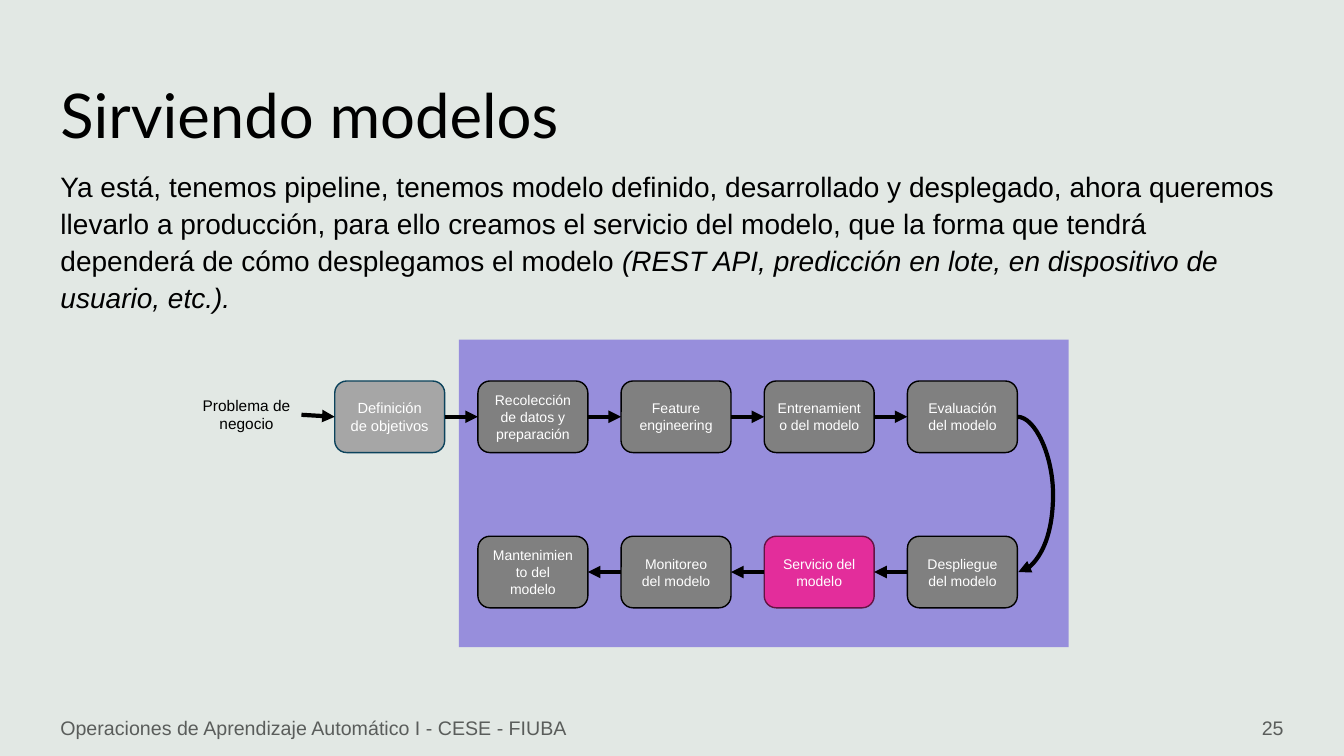
from dataclasses import dataclass
from itertools import pairwise

from lxml.etree import SubElement
from pptx import Presentation
from pptx.dml.color import RGBColor
from pptx.enum.shapes import MSO_CONNECTOR as Cxn, MSO_SHAPE as Shape
from pptx.enum.text import MSO_ANCHOR as Anchor, MSO_AUTO_SIZE as AutoSize, PP_ALIGN as Align
from pptx.oxml.ns import qn
from pptx.util import Inches, Pt


@dataclass(frozen=True)
class Theme:
    background: str = "E2E8E4"
    panel: str = "4E36D6"
    panel_alpha: int = 50
    ink: str = "000000"
    muted: str = "5A5D5B"
    light: str = "FFFFFF"
    step: str = "808080"
    goal: str = "A6A6A6"
    goal_line: str = "0C435C"
    active: str = "E32D9B"
    active_line: str = "631444"
    heading_font: str = "Lato"
    body_font: str = "Arial"
    title_size: float = 44
    body_size: float = 20
    footer_size: float = 14
    input_size: float = 11
    goal_size: float = 10.5
    step_size: float = 10


THEME = Theme()


@dataclass(frozen=True)
class Step:
    label: str
    col: int
    row: int
    fill: str = THEME.step
    line: str = THEME.ink
    size: float = THEME.step_size


STEPS = [
    Step("Definición de objetivos", 0, 0, THEME.goal, THEME.goal_line, THEME.goal_size),
    Step("Recolección de datos y preparación", 1, 0),
    Step("Feature engineering", 2, 0),
    Step("Entrenamiento del modelo", 3, 0),
    Step("Evaluación del modelo", 4, 0),
    Step("Despliegue del modelo", 4, 1),
    Step("Servicio del modelo", 3, 1, THEME.active, THEME.active_line),
    Step("Monitoreo del modelo", 2, 1),
    Step("Mantenimiento del modelo", 1, 1),
]
STEP_LEFT, STEP_PITCH = 3.32, 1.42
STEP_WIDTH, STEP_HEIGHT = 1.09, 0.71
ROW_TOPS = (3.78, 5.32)
LEFT_SITE, RIGHT_SITE = 1, 3


def rgb(color: str) -> RGBColor:
    return RGBColor.from_string(color)


def add_text(tf, text: str, *, size: float, color: str = THEME.ink,
             font: str = THEME.body_font, align=Align.LEFT,
             anchor=Anchor.MIDDLE, italic: bool = False) -> None:
    tf.word_wrap = True
    tf.auto_size = AutoSize.NONE
    tf.vertical_anchor = anchor
    p = tf.paragraphs[0]
    p.alignment = align
    r = p.add_run()
    r.text = text
    r.font.name, r.font.size = font, Pt(size)
    r.font.color.rgb = rgb(color)
    r.font.italic = italic


def place(sp, left: float, top: float, width: float, height: float) -> None:
    sp.left, sp.top = Inches(left), Inches(top)
    sp.width, sp.height = Inches(width), Inches(height)


def add_textbox(shapes, box: tuple, text: str, **fmt):
    sp = shapes.add_textbox(*map(Inches, box))
    add_text(sp.text_frame, text, **fmt)
    return sp


def add_panel(shapes) -> None:
    sp = shapes.add_shape(Shape.RECTANGLE, *map(Inches, (4.55, 3.37, 6.05, 3.05)))
    sp.shadow.inherit = False
    sp.fill.solid()
    sp.fill.fore_color.rgb = rgb(THEME.panel)
    sp.line.fill.background()
    color = sp.fill._xPr.find(f".//{qn('a:srgbClr')}")
    SubElement(color, qn("a:alpha"), val=str(THEME.panel_alpha * 1000))


def add_step(shapes, step: Step):
    box = (STEP_LEFT + step.col * STEP_PITCH, ROW_TOPS[step.row], STEP_WIDTH, STEP_HEIGHT)
    sp = shapes.add_shape(Shape.ROUNDED_RECTANGLE, *map(Inches, box))
    sp.shadow.inherit = False
    sp.fill.solid()
    sp.fill.fore_color.rgb = rgb(step.fill)
    sp.line.color.rgb = rgb(step.line)
    sp.line.width = Pt(1)
    add_text(sp.text_frame, step.label, size=step.size, color=THEME.light, align=Align.CENTER)
    return sp


def add_arrow(shapes, kind, start: tuple, end: tuple):
    cxn = shapes.add_connector(kind, *start, *end)
    cxn.line.color.rgb = rgb(THEME.ink)
    cxn.line.width = Pt(3)
    SubElement(cxn.line._get_or_add_ln(), qn("a:tailEnd"), type="triangle")
    SubElement(cxn._element.spPr, qn("a:effectLst"))
    return cxn


def link_across(shapes, source, target) -> None:
    forward = source.left < target.left
    out_site, in_site = (RIGHT_SITE, LEFT_SITE) if forward else (LEFT_SITE, RIGHT_SITE)
    start_x = source.left + (source.width if forward else 0)
    end_x = target.left + (0 if forward else target.width)
    cxn = add_arrow(shapes, Cxn.STRAIGHT,
                    (start_x, source.top + source.height // 2),
                    (end_x, target.top + target.height // 2))
    cxn.begin_connect(source, out_site)
    cxn.end_connect(target, in_site)


def link_down(shapes, source, target) -> None:
    right = source.left + source.width
    cxn = add_arrow(shapes, Cxn.CURVE,
                    (right, source.top + source.height // 2),
                    (right + Inches(0.01), target.top + target.height // 2))
    guides = cxn._element.spPr.find(qn("a:prstGeom")).get_or_add_avLst()
    SubElement(guides, qn("a:gd"), name="adj1", fmla="val 3600000")


def add_diagram(s) -> None:
    shapes = s.shapes.add_group_shape().shapes
    add_panel(shapes)
    problem = add_textbox(shapes, (1.9, 3.88, 1.09, 0.47), "Problema de negocio",
                          size=THEME.input_size, align=Align.CENTER, anchor=Anchor.TOP)
    boxes = [add_step(shapes, step) for step in STEPS]
    for source, target in pairwise([problem, *boxes]):
        link = link_down if source.left == target.left else link_across
        link(shapes, source, target)


def add_body(sp) -> None:
    place(sp, 0.5, 1.6, 12.33, 5.12)
    tf = sp.text_frame
    p = tf.paragraphs[0]
    pPr = p._p.get_or_add_pPr()
    pPr.set("marL", "0")
    pPr.set("indent", "0")
    SubElement(pPr, qn("a:buNone"))
    p.line_spacing = 1.1
    p.space_before = Pt(0)
    fmt = dict(size=THEME.body_size, anchor=Anchor.TOP)
    add_text(tf, "Ya está, tenemos pipeline, tenemos modelo definido, desarrollado y desplegado, "
                 "ahora queremos llevarlo a producción, para ello creamos el servicio del modelo, "
                 "que la forma que tendrá dependerá de cómo desplegamos el modelo ", **fmt)
    add_text(tf, "(REST API, predicción en lote, en dispositivo de usuario, etc.).",
             italic=True, **fmt)


def main() -> None:
    prs = Presentation()
    prs.slide_width, prs.slide_height = Inches(13.33), Inches(7.5)
    s = prs.slides.add_slide(prs.slide_layouts[1])
    s.background.fill.solid()
    s.background.fill.fore_color.rgb = rgb(THEME.background)

    title, body = s.placeholders
    place(title, 0.5, 0.4, 11.92, 1.45)
    add_text(title.text_frame, "Sirviendo modelos", size=THEME.title_size,
             font=THEME.heading_font)
    add_body(body)
    add_diagram(s)

    footer = dict(size=THEME.footer_size, color=THEME.muted)
    add_textbox(s.shapes, (0.5, 7.02, 6, 0.4),
                "Operaciones de Aprendizaje Automático I - CESE - FIUBA", **footer)
    add_textbox(s.shapes, (9.83, 7.02, 3, 0.4), "25", align=Align.RIGHT, **footer)
    prs.save("out.pptx")


if __name__ == "__main__":
    main()
